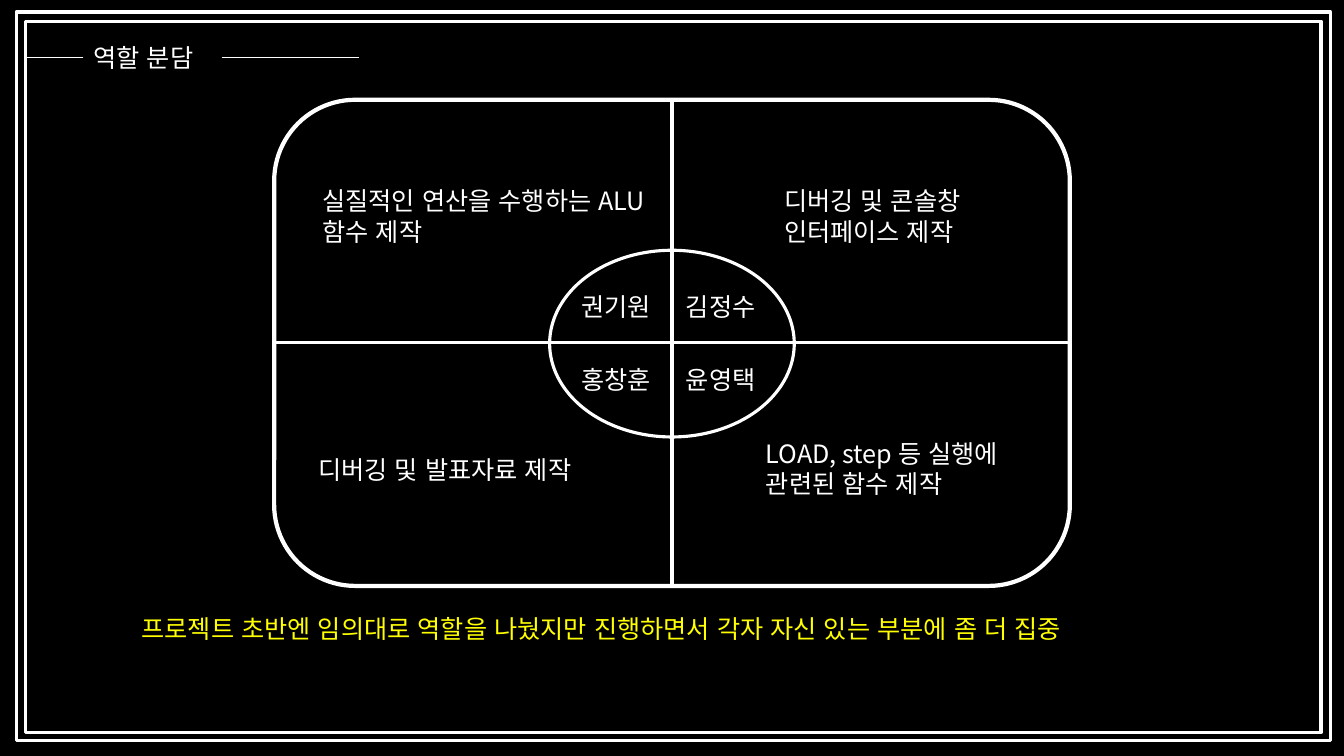
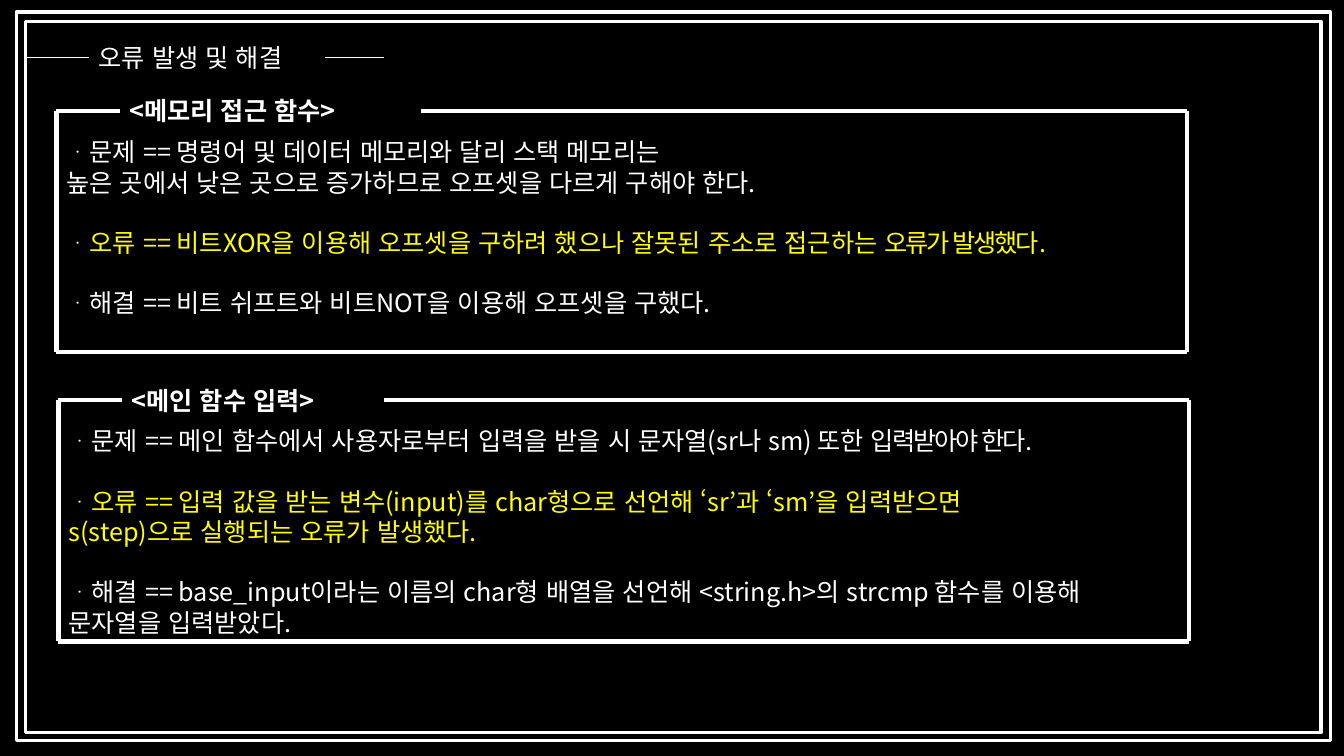
from lxml import etree
from pptx import Presentation
from pptx import util as u
from pptx.dml.color import RGBColor
from pptx.enum import lang, shapes, text
from pptx.oxml.ns import qn

COLORS = {"ground": "000000", "ink": "FFFFFF", "accent": "FFFF00"}
FONT = "Noto Sans CJK KR"
SIZE = u.Pt(18)
GAP = u.Pt(21.5)
LINE_ROWS = 5.4

deck = Presentation()
deck.slide_width, deck.slide_height = u.Emu(12192000), u.Emu(6858000)
# Every length below counts hundredths of the slide's width or height
COL, ROW = deck.slide_width / 100, deck.slide_height / 100

ground = deck.slide_master.background.fill
ground.solid()
ground.fore_color.rgb = RGBColor.from_string(COLORS["ground"])


def write(box, area, paragraphs, bold=False):
    """Place the box and fill it; a paragraph is (space before, [(text, colour, spacing)])."""
    left, top, width, height = area
    box.left, box.top = u.Emu(int(left * COL)), u.Emu(int(top * ROW))
    box.width, box.height = u.Emu(int(width * COL)), u.Emu(int(height * ROW))
    frame = box.text_frame
    frame.word_wrap = True
    frame.auto_size = text.MSO_AUTO_SIZE.NONE
    frame.vertical_anchor = text.MSO_ANCHOR.TOP
    for number, (before, spans) in enumerate(paragraphs):
        para = frame.add_paragraph() if number else frame.paragraphs[0]
        para.alignment = text.PP_ALIGN.LEFT
        para.space_before = before
        props = para._p.get_or_add_pPr()
        props.set("marL", "0")
        props.set("indent", "0")
        etree.SubElement(props, qn("a:buNone"))
        for words, color, spacing in spans:
            span = para.add_run()
            span.text = words
            span.font.size, span.font.bold = SIZE, bold
            span.font.color.rgb = RGBColor.from_string(COLORS[color])
            span.font.name = FONT
            span.font.language_id = lang.MSO_LANGUAGE_ID.KOREAN
            look = span._r.get_or_add_rPr()
            look.set("spc", str(spacing))
            etree.SubElement(look, qn("a:ea"), typeface=FONT)


def rule(page, start, end, weight):
    ends = [u.Emu(int(n * unit)) for n, unit in zip(start + end, (COL, ROW) * 2)]
    line = page.shapes.add_connector(shapes.MSO_CONNECTOR.STRAIGHT, *ends)
    line.line.color.rgb = RGBColor.from_string(COLORS["ink"])
    line.line.width = u.Pt(weight)
    etree.SubElement(line._element.spPr, qn("a:effectLst"))
    return line


roles = deck.slides.add_slide(deck.slide_layouts[5])
errors = deck.slides.add_slide(deck.slide_layouts[3])

# Titles between two rules, the second ending at the last column given
TITLES = [
    (roles, "역할 분담", 6.2, 10.3, 16.5, 26.7),
    (errors, "오류 발생 및 해결", 6.6, 17.6, 24.2, 28.6),
]
for page, words, left, width, right, rule_end in TITLES:
    title = page.shapes.title
    write(title, (left, 4.9, width, LINE_ROWS), [(0, [(words, "ink", 0)])])
    rule(page, (left, 7.6), (1.9, 7.6), 1).begin_connect(title, 1)
    rule(page, (right, 7.6), (rule_end, 7.6), 1).begin_connect(title, 3)

# Double frame on both pages, role card and name oval on the first
RECTANGLE = shapes.MSO_SHAPE.RECTANGLE
FRAMES = [
    (RECTANGLE, 2.25, (1.2, 1.6, 97.8, 96.4)),
    (RECTANGLE, 2.25, (1.9, 2.8, 96.4, 94.1)),
]
ROLE_CARD = (shapes.MSO_SHAPE.ROUNDED_RECTANGLE, 3, (20.4, 13.2, 59.2, 64.3))
NAME_OVAL = (shapes.MSO_SHAPE.OVAL, 2.25, (40.9, 33.1, 18.2, 24.7))
outlines = {}
for page, items in [(roles, FRAMES + [ROLE_CARD, NAME_OVAL]), (errors, FRAMES)]:
    for kind, weight, (left, top, width, height) in items:
        outline = page.shapes.add_shape(
            kind, u.Emu(int(left * COL)), u.Emu(int(top * ROW)),
            u.Emu(int(width * COL)), u.Emu(int(height * ROW)))
        outline.shadow.inherit = False
        outline.fill.background()
        outline.line.color.rgb = RGBColor.from_string(COLORS["ink"])
        outline.line.width = u.Pt(weight)
        outlines[kind] = outline

card = outlines[shapes.MSO_SHAPE.ROUNDED_RECTANGLE]
for start, end, first_side, last_side in [
    ((20.4, 45.35), (79.6, 45.35), 1, 3),
    ((50, 13.2), (50, 77.5), 0, 2),
]:
    divider = rule(roles, start, end, 2.25)
    divider.begin_connect(card, first_side)
    divider.end_connect(card, last_side)

LABELS = [
    ("권기원", "ink", (42.5, 37.9, 7.5, LINE_ROWS)),
    ("김정수", "ink", (50.3, 37.9, 7.9, LINE_ROWS)),
    ("홍창훈", "ink", (42.5, 47.5, 7.5, LINE_ROWS)),
    ("윤영택", "ink", (50.3, 47.5, 7.9, LINE_ROWS)),
    ("실질적인 연산을 수행하는 ALU함수 제작", "ink", (23.25, 23.9, 25.65, 9.4)),
    ("디버깅 및 콘솔창 인터페이스 제작", "ink", (57.6, 23.9, 18.3, 9.4)),
    ("디버깅 및 발표자료 제작", "ink", (22.95, 59.5, 23.25, LINE_ROWS)),
    ("LOAD, step 등 실행에 관련된 함수 제작", "ink", (56.25, 57.3, 21, 9.4)),
    ("프로젝트 초반엔 임의대로 역할을 나눴지만 진행하면서 각자 자신 있는 부분에 좀 더 집중",
     "accent", (9.8, 80.5, 80.9, LINE_ROWS)),
]
for words, color, area in LABELS:
    write(roles.shapes.add_textbox(0, 0, 0, 0), area, [(0, [(words, color, 0)])])

# Panels whose top edge is interrupted by a heading
PANEL_WIDTH, PANEL_HEIGHT, HEADING_INDENT = 84.1, 31.9, 4.7
HALF_LINE = LINE_ROWS / 2
PANELS = [
    ("<메모리 접근 함수>", 4.2, 14.7, 22.4, [
        (0, [("ᆞ문제 == 명령어 및 데이터 메모리와 달리 스택 메모리는", "ink", 0)]),
        (0, [("높은 곳에서 낮은 곳으로 증가하므로 오프셋을 다르게 구해야 한다.", "ink", 0)]),
        (GAP, [("ᆞ", "ink", 0),
               ("오류 == 비트XOR을 이용해 오프셋을 구하려 했으나 잘못된 주소로 접근하는 ", "accent", 0),
               ("오류가 발생했다", "accent", -150),
               (".", "accent", 0)]),
        (GAP, [("ᆞ해결 == 비트 쉬프트와 비트NOT을 이용해 오프셋을 구했다.", "ink", 0)]),
    ]),
    ("<메인 함수 입력>", 4.35, 52.95, 19.5, [
        (0, [("ᆞ문제 == 메인 함수에서 사용자로부터 입력을 받을 시 문자열(sr나 sm) 또한 ", "ink", 0),
             ("입력받아야 한다.", "ink", -150)]),
        (GAP, [("ᆞ", "ink", 0),
               ("오류 == 입력 값을 받는 변수(input)를 char형으로 선언해 ‘sr’과 ‘sm’을 입력받으면",
                "accent", 0)]),
        (0, [("s(step)으로 실행되는 오류가 발생했다.", "accent", 0)]),
        (GAP, [("ᆞ해결 == base_input이라는 이름의 char형 배열을 선언해 <string.h>의 strcmp 함수를 "
                "이용해 문자열을 입력받았다.", "ink", 0)]),
    ]),
]
bodies = list(errors.placeholders)[1:]
for body, (words, left, top, heading_width, paragraphs) in zip(bodies, PANELS):
    right, bottom = left + PANEL_WIDTH, top + PANEL_HEIGHT
    heading_left = left + HEADING_INDENT
    heading_right = heading_left + heading_width
    write(body, (left, top + HALF_LINE, PANEL_WIDTH, PANEL_HEIGHT - HALF_LINE), paragraphs)
    heading = errors.shapes.add_textbox(0, 0, 0, 0)
    write(heading, (heading_left, top - HALF_LINE, heading_width, LINE_ROWS),
          [(0, [(words, "ink", 0)])], bold=True)
    rule(errors, (heading_left, top), (left, top), 3).begin_connect(heading, 1)
    rule(errors, (heading_right, top), (right, top), 3).begin_connect(heading, 3)
    for start, end in [
        ((left, top), (left, bottom)),
        ((right, top), (right, bottom)),
        ((left, bottom), (right, bottom)),
    ]:
        rule(errors, start, end, 3)

deck.save("out.pptx")
